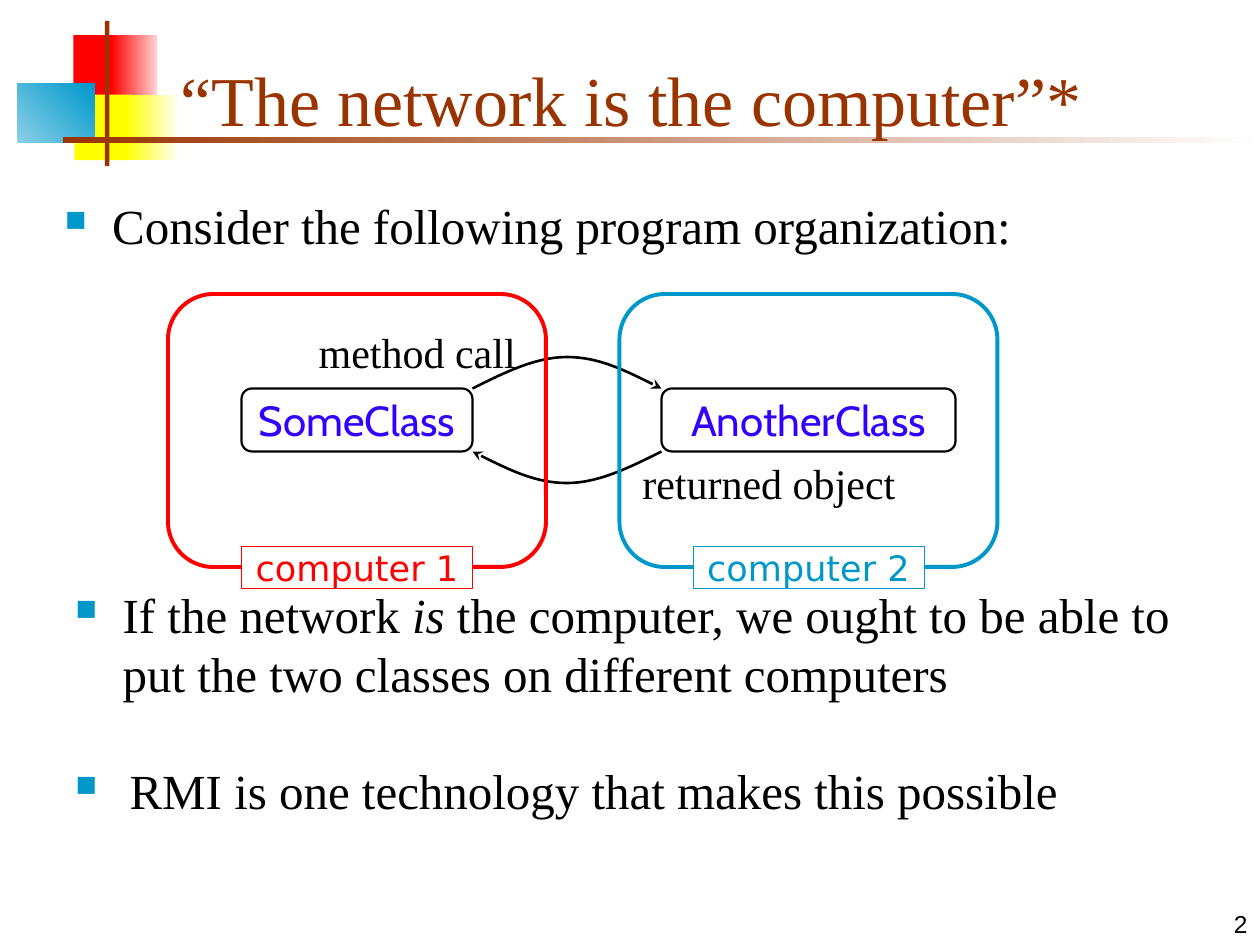
from lxml import etree
from pptx import Presentation
from pptx.dml.color import RGBColor
from pptx.enum.shapes import MSO_SHAPE as Shape
from pptx.enum.text import MSO_ANCHOR as Anchor, PP_ALIGN as Align
from pptx.oxml.ns import qn
from pptx.util import Pt

BLACK = RGBColor(0x00, 0x00, 0x00)
WHITE = RGBColor(0xFF, 0xFF, 0xFF)
RED = RGBColor(0xFF, 0x00, 0x00)
PINK = RGBColor(0xFF, 0xD1, 0xD1)
YELLOW = RGBColor(0xFF, 0xFF, 0x00)
CREAM = RGBColor(0xFF, 0xFF, 0xF0)
BLUE = RGBColor(0x00, 0x98, 0xCB)
PALE_BLUE = RGBColor(0x8B, 0xD0, 0xE7)
BROWN = RGBColor(0x99, 0x33, 0x00)
VIOLET = RGBColor(0x33, 0x00, 0xFF)
SERIF = "Times New Roman"


def add_run(p, text, font, size, color, italic=False):
    r = p.add_run()
    r.text = text
    r.font.name = font
    r.font.size = Pt(size)
    r.font.color.rgb = color
    r.font.italic = italic


def add_box(slide, kind, box, fill=None, line=None, width=1):
    sp = slide.shapes.add_shape(kind, *map(Pt, box))
    sp.shadow.inherit = False
    if fill is None:
        sp.fill.background()
    else:
        sp.fill.solid()
        sp.fill.fore_color.rgb = fill
    if line is None:
        sp.line.fill.background()
    else:
        sp.line.color.rgb = line
        sp.line.width = Pt(width)
    return sp


def add_gradient(slide, box, start, end, angle=0):
    sp = add_box(slide, Shape.RECTANGLE, box)
    sp.fill.gradient()
    sp.fill.gradient_angle = angle
    for stop, color in zip(sp.fill.gradient_stops, (start, end)):
        stop.color.rgb = color


def add_label(sp, text, font, size, color):
    tf = sp.text_frame
    tf.word_wrap = False
    tf.vertical_anchor = Anchor.MIDDLE
    p = tf.paragraphs[0]
    p.alignment = Align.CENTER
    add_run(p, text, font, size, color)


def add_text(slide, box, text, size, color=BLACK, font=SERIF,
             anchor=Anchor.TOP, align=Align.LEFT):
    tf = slide.shapes.add_textbox(*map(Pt, box)).text_frame
    tf.word_wrap = True
    tf.vertical_anchor = anchor
    p = tf.paragraphs[0]
    p.alignment = align
    add_run(p, text, font, size, color)


def add_bullet(slide, box, parts, indent=27):
    tf = slide.shapes.add_textbox(*map(Pt, box)).text_frame
    tf.word_wrap = True
    p = tf.paragraphs[0]
    pPr = p._p.get_or_add_pPr()
    pPr.set("marL", str(Pt(indent)))
    pPr.set("indent", str(-Pt(indent)))
    color = etree.SubElement(pPr, qn("a:buClr"))
    etree.SubElement(color, qn("a:srgbClr")).set("val", str(BLUE))
    etree.SubElement(pPr, qn("a:buSzPct")).set("val", "60000")
    etree.SubElement(pPr, qn("a:buChar")).set("char", "■")
    for text, italic in parts:
        add_run(p, text, SERIF, 28, BLACK, italic)


def add_curved_arrow(slide, x1, x2, y, rise):
    dx = (x2 - x1) / 6
    lifts = (0.5, 1, 1, 1, 0.5, 0)
    points = [(Pt(x1 + dx * i), Pt(y + rise * lift))
              for i, lift in enumerate(lifts, 1)]
    builder = slide.shapes.build_freeform(Pt(x1), Pt(y))
    builder.add_line_segments(points, close=False)
    sp = builder.convert_to_shape()
    sp.shadow.inherit = False
    sp.fill.background()
    sp.line.color.rgb = BLACK
    sp.line.width = Pt(1.5)
    path = sp._element.find(".//" + qn("a:path"))
    segments = path.findall(qn("a:lnTo"))
    for i in range(0, len(segments), 3):
        curve = etree.SubElement(path, qn("a:cubicBezTo"))
        for segment in segments[i:i + 3]:
            curve.append(segment[0])
            path.remove(segment)
    ln = sp.line._get_or_add_ln()
    etree.SubElement(ln, qn("a:tailEnd")).set("type", "stealth")


def add_decoration(slide):
    add_box(slide, Shape.RECTANGLE, (42, 20, 25, 37.5), RED)
    add_gradient(slide, (63.5, 20, 26, 37.5), RED, PINK)
    add_box(slide, Shape.RECTANGLE, (42.5, 54, 33, 37.5), YELLOW)
    add_gradient(slide, (72, 54, 29, 37.5), YELLOW, CREAM)
    add_gradient(slide, (10, 48, 44, 33.5), PALE_BLUE, BLUE, 45)
    add_box(slide, Shape.RECTANGLE, (60, 12, 2.5, 83), BROWN)
    add_gradient(slide, (36, 78, 684, 3.5), BROWN, WHITE)


def add_class(slide, box, name):
    sp = add_box(slide, Shape.ROUNDED_RECTANGLE, box, line=BLACK, width=1.25)
    add_label(sp, name, "Cabin", 24, VIOLET)


def add_computer(slide, x, tag_x, name, color):
    add_box(slide, Shape.ROUNDED_RECTANGLE, (x, 168, 216, 156),
            line=color, width=2.25)
    tag = add_box(slide, Shape.RECTANGLE, (tag_x, 312, 132, 24),
                  WHITE, color, 0.25)
    add_label(tag, name, "DejaVu Sans", 20, color)


def main():
    prs = Presentation()
    prs.slide_width, prs.slide_height = Pt(720), Pt(540)
    slide = prs.slides.add_slide(prs.slide_layouts[6])
    add_decoration(slide)
    add_text(slide, (570, 504, 150, 36), "2", 14, font="Arial",
             anchor=Anchor.BOTTOM, align=Align.RIGHT)
    add_text(slide, (96, 18, 613.5, 66), "“The network is the computer”*",
             40, BROWN, anchor=Anchor.BOTTOM)
    add_bullet(slide, (30, 108, 660, 43),
               [("Consider the following program organization:", False)])
    add_bullet(slide, (36, 330.5, 660, 87),
               [("If the network ", False), ("is", True),
                (" the computer, we ought to be able to put the two classes "
                 "on different computers", False)])
    add_class(slide, (138, 222, 132, 36), "SomeClass")
    add_class(slide, (378, 222, 168, 36), "AnotherClass")
    add_curved_arrow(slide, 270, 378, 222, -18)
    add_curved_arrow(slide, 378, 270, 258, 18)
    add_text(slide, (175, 183, 132, 36), "method call", 24)
    add_text(slide, (360, 258, 168, 36), "returned object", 24)
    add_bullet(slide, (36, 431, 648, 41),
               [("RMI is one technology that makes this possible", False)], 31)
    add_computer(slide, 96, 138, "computer 1", RED)
    add_computer(slide, 354, 396, "computer 2", BLUE)
    prs.save("out.pptx")


if __name__ == "__main__":
    main()
